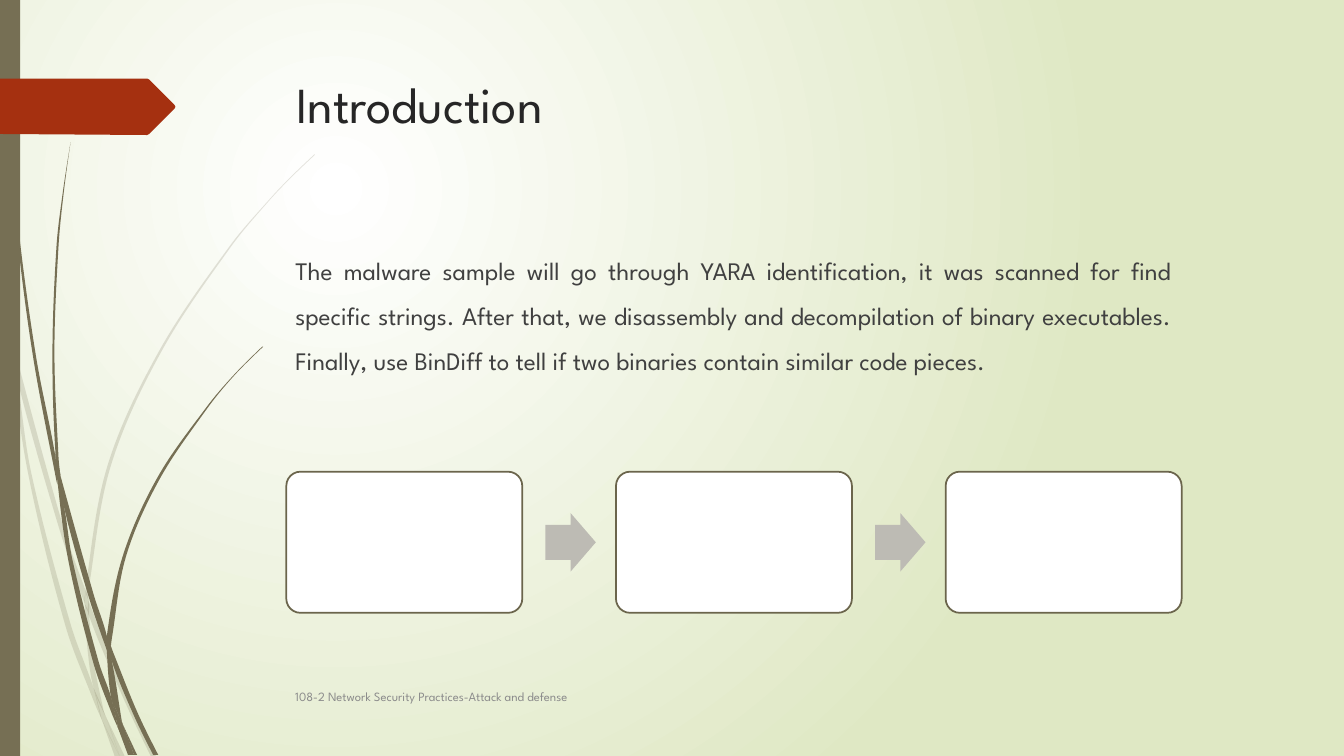
from math import dist

from lxml import etree
from pptx import Presentation
from pptx.dml.color import RGBColor
from pptx.enum.shapes import MSO_SHAPE
from pptx.enum.text import MSO_ANCHOR, PP_ALIGN
from pptx.oxml.ns import qn
from pptx.util import Inches, Pt

ROUNDED, ARROW, BAR = MSO_SHAPE.ROUNDED_RECTANGLE, MSO_SHAPE.RIGHT_ARROW, MSO_SHAPE.RECTANGLE
TOP, MIDDLE = MSO_ANCHOR.TOP, MSO_ANCHOR.MIDDLE
LEFT, JUSTIFY = PP_ALIGN.LEFT, PP_ALIGN.JUSTIFY

THEME = {
    "font": "League Spartan",
    "title": (36, "262626"), "body": (18, "404040"), "footer": (9, "8C8C8C"),
    "glow": "FFFFFF", "meadow": "DFE8C4",
    "grass": "766F54", "tag": "A53010",
    "step": "FFFFFF", "step_line": "6B654C", "arrow": "BDBBB4",
}
WIDTH, HEIGHT = 13.33, 7.5

# Each blade piece has two edges, both listed from its upper end to its lower end.
PALE_GRASS = [
    ([(0, 2.82), (.09, 3.22), (.11, 3.5)], [(0, 2.99), (.1, 3.44), (.11, 3.5)]),
    ([(.14, 3.45), (.62, 5.2), (.85, 5.86)], [(.14, 3.45), (.17, 3.76), (.58, 5.22), (.84, 5.99)]),
    ([(.88, 5.96), (.92, 6.07), (1.27, 6.92), (1.55, 7.51)],
     [(.88, 5.96), (.88, 6.1), (1.23, 6.94), (1.5, 7.51)]),
    ([(1.05, 7.11), (1.24, 7.51)], [(1.05, 7.11), (1.19, 7.51)]),
    ([(.11, 3.5), (.17, 3.76), (.31, 4.69), (.7, 6.19), (.93, 6.83), (1.01, 7.14)],
     [(.11, 3.5), (.28, 4.7), (.65, 6.21), (.92, 6.93), (1.01, 7.14)]),
    ([(.84, 5.99), (.88, 6.08), (.91, 6.46), (1.03, 7.06), (1.05, 7.11)],
     [(.84, 5.99), (.87, 6.46), (.93, 6.83), (1.05, 7.11)]),
    ([(3.12, 1.53), (2.89, 1.75), (2.68, 1.97), (2.28, 2.44), (1.58, 3.48), (1.07, 4.61),
      (.85, 5.84), (.88, 5.96)],
     [(3.12, 1.54), (2.9, 1.75), (2.68, 1.98), (2.29, 2.45), (1.6, 3.49), (1.1, 4.62),
      (.88, 5.84), (.88, 5.96)]),
    ([(1.01, 7.14), (1.19, 7.51)], [(1.01, 7.14), (1.14, 7.51)]),
    ([(.85, 5.86), (.88, 5.96), (.88, 6.1)], [(.85, 5.86), (.84, 5.99), (.88, 6.08)]),
    ([(.93, 6.83), (1.05, 7.11), (1.19, 7.51)],
     [(.93, 6.83), (.99, 7.07), (1.01, 7.14), (1.19, 7.51)]),
]
DARK_GRASS = [
    ([(.04, 0), (.05, .48), (.08, 1.09), (.19, 2.32), (.36, 3.55), (.55, 4.53), (.57, 4.81)],
     [(.03, 0), (.04, .48), (.07, 1.1), (.17, 2.33), (.33, 3.55), (.56, 4.77), (.57, 4.81)]),
    ([(.6, 4.72), (.93, 5.9), (1.06, 6.31), (1.06, 6.45)],
     [(.6, 4.72), (.64, 5.05), (.88, 5.92), (1.06, 6.45)]),
    ([(1.1, 6.41), (1.13, 6.49), (1.36, 7.06), (1.57, 7.49)],
     [(1.1, 6.41), (1.11, 6.56), (1.32, 7.08), (1.52, 7.49)]),
    ([(.57, 4.77), (.64, 5.05), (.72, 5.56), (.98, 6.57), (1.1, 6.91), (1.17, 7.22)],
     [(.57, 4.77), (.68, 5.57), (.93, 6.59), (1.11, 7.08), (1.17, 7.22)]),
    ([(.7, 1.41), (.62, 1.93), (.56, 2.45), (.52, 3.49), (.55, 4.49), (.6, 4.72)],
     [(.7, 1.41), (.63, 1.93), (.58, 2.45), (.54, 3.49), (.58, 4.53), (.6, 4.72)]),
    ([(1.22, 7.19), (1.36, 7.49)], [(1.22, 7.19), (1.33, 7.49)]),
    ([(.55, 4.49), (.6, 4.72), (.64, 5.05)], [(.55, 4.53), (.57, 4.77), (.64, 5.05)]),
    ([(2.6, 3.44), (2.31, 3.73), (2.04, 4.05), (1.56, 4.74), (1.22, 5.51), (1.06, 6.31), (1.1, 6.41)],
     [(2.61, 3.44), (2.31, 3.74), (2.05, 4.06), (1.58, 4.76), (1.25, 5.52), (1.11, 6.33), (1.1, 6.41)]),
    ([(1.17, 7.22), (1.31, 7.49)], [(1.17, 7.22), (1.27, 7.49)]),
    ([(1.06, 6.45), (1.11, 6.56), (1.21, 7.16), (1.22, 7.19)],
     [(1.06, 6.45), (1.1, 6.91), (1.16, 7.06), (1.22, 7.19)]),
    ([(1.06, 6.31), (1.1, 6.41), (1.11, 6.56)], [(1.06, 6.31), (1.06, 6.45), (1.11, 6.56)]),
    ([(1.1, 6.91), (1.16, 7.06), (1.22, 7.19), (1.33, 7.49)],
     [(1.1, 6.91), (1.16, 7.17), (1.17, 7.22), (1.3, 7.49)]),
]
TAG_OUTLINE = [(0, .78), (1.46, .78), (1.48, .79), (1.73, 1.04), (1.74, 1.06),
               (1.73, 1.08), (1.48, 1.33), (1.46, 1.34), (0, 1.33)]


def bezier_segments(edge):
    """Return (control, control, end) for each segment of a smooth curve through the edge."""
    padded = [edge[0], *edge, edge[-1]]
    segments = []
    for before, start, end, after in zip(padded, padded[1:], padded[2:], padded[3:]):
        reach = dist(start, end) / 3
        leave, arrive = reach / dist(before, end), reach / dist(start, after)
        first = tuple(s + (e - b) * leave for b, s, e in zip(before, start, end))
        second = tuple(e - (a - s) * arrive for s, e, a in zip(start, end, after))
        if before == start:
            first = tuple((s + c) / 2 for s, c in zip(start, second))
        elif after == end:
            second = tuple((e + c) / 2 for e, c in zip(end, first))
        segments.append((first, second, end))
    return segments


def paint(shape, fill, line=None):
    shape.shadow.inherit = False
    shape.fill.solid()
    shape.fill.fore_color.rgb = RGBColor.from_string(fill)
    if line:
        shape.line.color.rgb = RGBColor.from_string(line)
        shape.line.width = Pt(1.25)
    else:
        shape.line.fill.background()


presentation = Presentation()
presentation.slide_width, presentation.slide_height = Inches(WIDTH), Inches(HEIGHT)
slide = presentation.slides.add_slide(presentation.slide_layouts[6])

# Background: a round glow in the upper left
background = slide.background.fill
background.gradient()
for stop, color in zip(background.gradient_stops, ("glow", "meadow")):
    stop.color.rgb = RGBColor.from_string(THEME[color])
gradient = slide.background._cSld.find(".//" + qn("a:gradFill"))
for linear in gradient.findall(qn("a:lin")):
    gradient.remove(linear)
circle = etree.SubElement(gradient, qn("a:path"), {"path": "circle"})
etree.SubElement(circle, qn("a:fillToRect"),
                 {"l": "50000", "t": "50000", "r": "100000", "b": "100000"})

# Grass: anchor points first, then each straight segment along an edge becomes a curve
for blades, opacity in ((PALE_GRASS, 20), (DARK_GRASS, 100)):
    grass = slide.shapes.add_group_shape()
    for right_edge, left_edge in blades:
        upward_edge = left_edge[::-1]
        anchors = [(Inches(x), Inches(y)) for x, y in right_edge + upward_edge]
        builder = grass.shapes.build_freeform(*anchors[0])
        builder.add_line_segments(anchors[1:], close=True)
        blade = builder.convert_to_shape()
        paint(blade, THEME["grass"])
        lines = blade._element.findall(".//" + qn("a:lnTo"))
        bottom_line = lines.pop(len(right_edge) - 1)
        if right_edge[-1] == upward_edge[0]:
            bottom_line.getparent().remove(bottom_line)
        for line, segment in zip(lines, bezier_segments(right_edge) + bezier_segments(upward_edge)):
            curve = etree.Element(qn("a:cubicBezTo"))
            for x, y in segment:
                etree.SubElement(curve, qn("a:pt"), {
                    "x": str(Inches(x) - blade.left), "y": str(Inches(y) - blade.top)})
            line.getparent().replace(line, curve)
        if opacity < 100:
            color = blade._element.spPr.find(qn("a:solidFill"))[0]
            etree.SubElement(color, qn("a:alpha"), {"val": str(opacity * 1000)})

# Side bar and tag
side_bar = slide.shapes.add_shape(BAR, 0, 0, Inches(0.2), Inches(HEIGHT))
paint(side_bar, THEME["grass"])

tag_points = [(Inches(x), Inches(y)) for x, y in TAG_OUTLINE]
tag_builder = slide.shapes.build_freeform(*tag_points[0])
tag_builder.add_line_segments(tag_points[1:], close=True)
paint(tag_builder.convert_to_shape(), THEME["tag"])

# Texts
TEXTS = [
    ("title", (2.84, 0.68, 9.75, 1.4), TOP, LEFT, "Introduction"),
    ("body", (2.83, 2.33, 8.89, 4.13), TOP, JUSTIFY,
     "The malware sample will go through YARA identification, it was scanned for find specific "
     "strings. After that, we disassembly and decompilation of binary executables. Finally, use "
     "BinDiff to tell if two binaries contain similar code pieces."),
    ("footer", (2.83, 6.71, 8.33, 0.4), MIDDLE, LEFT,
     "108-2 Network Security Practices-Attack and defense"),
]
for role, box, anchor, alignment, text in TEXTS:
    frame = slide.shapes.add_textbox(*map(Inches, box)).text_frame
    frame.word_wrap = True
    frame.vertical_anchor = anchor
    paragraph = frame.paragraphs[0]
    paragraph.alignment = alignment
    if role == "body":
        paragraph.line_spacing = 1.5
        paragraph.space_before = Pt(10)
    run = paragraph.add_run()
    run.text = text
    size, color = THEME[role]
    run.font.name = THEME["font"]
    run.font.size = Pt(size)
    run.font.color.rgb = RGBColor.from_string(color)

# Three empty steps with arrows between them
STEP_COUNT, STEP_LEFT, STEP_TOP, STEP_PITCH = 3, 2.84, 4.68, 3.27
STEP_WIDTH, STEP_HEIGHT = 2.34, 1.4
ARROW_OFFSET, ARROW_WIDTH, ARROW_HEIGHT = 2.57, 0.5, 0.58
ARROW_TOP = STEP_TOP + (STEP_HEIGHT - ARROW_HEIGHT) / 2
process = slide.shapes.add_group_shape()
for index in range(STEP_COUNT):
    left = STEP_LEFT + index * STEP_PITCH
    step_box = process.shapes.add_shape(
        ROUNDED, Inches(left), Inches(STEP_TOP), Inches(STEP_WIDTH), Inches(STEP_HEIGHT))
    step_box.adjustments[0] = 0.1
    paint(step_box, THEME["step"], THEME["step_line"])
    if index < STEP_COUNT - 1:
        arrow = process.shapes.add_shape(
            ARROW, Inches(left + ARROW_OFFSET), Inches(ARROW_TOP),
            Inches(ARROW_WIDTH), Inches(ARROW_HEIGHT))
        arrow.adjustments[0] = 0.6
        paint(arrow, THEME["arrow"])

presentation.save("out.pptx")
